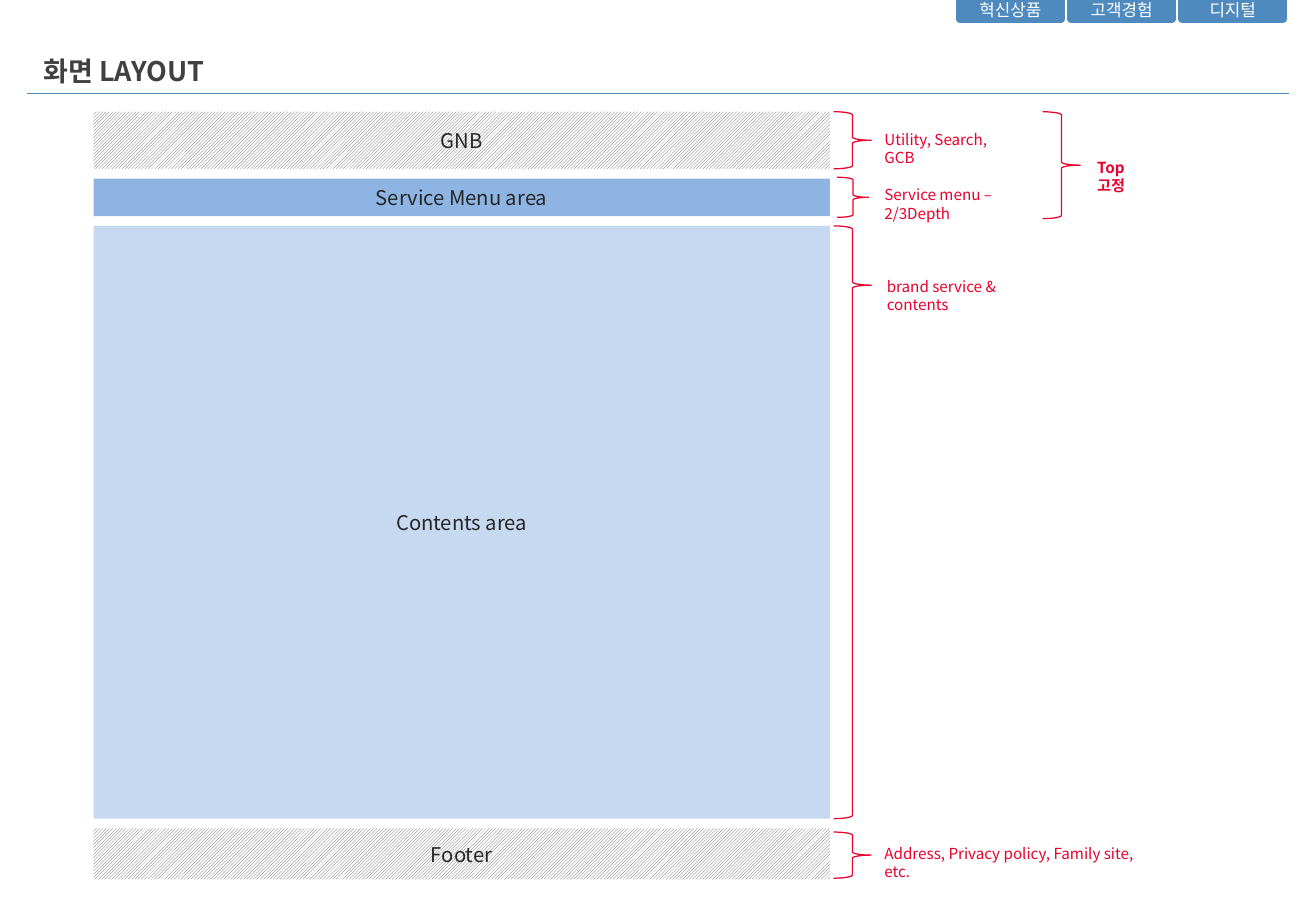
from dataclasses import dataclass
from typing import NamedTuple

from lxml import etree
from pptx import Presentation
from pptx.dml.color import RGBColor
from pptx.enum.dml import MSO_PATTERN
from pptx.enum.shapes import MSO_CONNECTOR, MSO_SHAPE
from pptx.enum.text import MSO_ANCHOR, MSO_AUTO_SIZE, PP_ALIGN
from pptx.oxml.ns import qn
from pptx.util import Inches, Pt

RECT, BRACE = MSO_SHAPE.RECTANGLE, MSO_SHAPE.RIGHT_BRACE
HATCH = MSO_PATTERN.LIGHT_UPWARD_DIAGONAL
LEFT, CENTER = PP_ALIGN.LEFT, PP_ALIGN.CENTER
MIDDLE, TOP = MSO_ANCHOR.MIDDLE, MSO_ANCHOR.TOP
GROW = MSO_AUTO_SIZE.SHAPE_TO_FIT_TEXT
TITLE_ONLY = 5


@dataclass(frozen=True)
class Theme:
    font: str = "Noto Sans CJK KR"
    accent: str = "4F8ABE"
    title: str = "404040"
    text: str = "262626"
    white: str = "FFFFFF"
    hatch: str = "595959"
    menu: str = "8EB4E3"
    contents: str = "C6D9F1"
    note: str = "EA002C"
    title_size: float = 16
    block_size: float = 12
    tab_size: float = 10
    note_size: float = 9


class Box(NamedTuple):
    x: float
    y: float
    w: float
    h: float

    def emu(self):
        return [Inches(v) for v in self]


class Row(NamedTuple):
    """A page block; brace and note places are relative to the block's top right."""
    label: str
    height: float
    fill: str
    brace: Box
    tip: float
    note: str
    note_box: Box


T = Theme()
SLIDE = Box(0, 0, 10.83, 7.5)
HEADER = Box(0.22, 0.4, 10.39, 0.37)
TABS = Box(7.9, 0, 2.66, 0.16)
PAGE = Box(0.77, 0.92, 6.06, 6.32)
ROW_GAP = 0.08
ROWS = [
    Row("GNB", 0.47, "", Box(0.03, 0, 0.31, 0.47), 0.5,
        "Utility, Search, GCB", Box(0.35, 0.1, 1.23, 0.25)),
    Row("Service Menu area", 0.31, T.menu, Box(0.06, -0.01, 0.26, 0.33), 0.5,
        "Service menu – 2/3Depth", Box(0.35, 0.01, 1.56, 0.25)),
    Row("Contents area", 4.88, T.contents, Box(0.03, 0, 0.31, 4.88), 0.1,
        "brand service & contents", Box(0.37, 0.37, 1.54, 0.25)),
    Row("Footer", 0.42, "", Box(0.03, 0.03, 0.31, 0.38), 0.5,
        "Address, Privacy policy, Family site, etc.", Box(0.35, 0.08, 2.29, 0.25)),
]


def rgb(color):
    return RGBColor.from_string(color)


def write(sp, text, size, color, align=CENTER, anchor=MIDDLE, bold=False, wrap=True):
    tf = sp.text_frame
    tf.word_wrap, tf.vertical_anchor = wrap, anchor
    p = tf.paragraphs[0]
    p.text, p.alignment = text, align
    p.font.name, p.font.size, p.font.bold = T.font, Pt(size), bold
    p.font.color.rgb = rgb(color)
    # Korean glyphs take the East Asian typeface
    latin = p._p.pPr.find(qn("a:defRPr")).find(qn("a:latin"))
    ea = etree.Element(qn("a:ea"), typeface=T.font)
    latin.addnext(ea)
    return tf


def add_block(s, box, fill):
    """Rectangle with a solid fill, or hatched when no fill is given."""
    sp = s.shapes.add_shape(RECT, *box.emu())
    sp.shadow.inherit = False
    sp.line.fill.background()
    if fill:
        sp.fill.solid()
        sp.fill.fore_color.rgb = rgb(fill)
    else:
        sp.fill.patterned()
        sp.fill.pattern = HATCH
        sp.fill.fore_color.rgb = rgb(T.hatch)
        sp.fill.back_color.rgb = rgb(T.white)
    return sp


def add_brace(s, box, tip=0.5):
    sp = s.shapes.add_shape(BRACE, *box.emu())
    sp.shadow.inherit = False
    sp.fill.background()
    sp.line.color.rgb, sp.line.width = rgb(T.note), Pt(0.75)
    sp.adjustments[1] = tip


def add_note(s, box, text, bold=False):
    sp = s.shapes.add_textbox(*box.emu())
    write(sp, text, T.note_size, T.note, LEFT, TOP, bold).auto_size = GROW


def add_tabs(s, box, labels):
    width = 0.83
    pitch = (box.w - width) / (len(labels) - 1)
    for i, label in enumerate(labels):
        sp = add_block(s, Box(box.x + i * pitch, box.y, width, box.h), T.accent)
        sp.line.color.rgb, sp.line.width = rgb(T.accent), Pt(4.5)
        tf = write(sp, label, T.tab_size, T.white, wrap=False)
        tf.margin_left = tf.margin_right = tf.margin_top = tf.margin_bottom = 0


def add_header(s, box, text):
    """Title with a rule along the bottom of the box."""
    bottom = Inches(box.y + box.h)
    rule = s.shapes.add_connector(MSO_CONNECTOR.STRAIGHT, Inches(box.x), bottom,
                                  Inches(box.x + box.w), bottom)
    rule.line.color.rgb, rule.line.width = rgb(T.accent), Pt(1)
    etree.SubElement(rule._element.spPr, qn("a:effectLst"))
    title = s.shapes.title
    title.left, title.top, title.width, title.height = box._replace(x=box.x + 0.04).emu()
    write(title, text, T.title_size, T.title, LEFT, bold=True)


def add_page_layout(s, box, rows):
    """Stacked page blocks, each with a brace and a note on its right."""
    right, top = box.x + box.w, box.y
    for row in rows:
        sp = add_block(s, Box(box.x, top, box.w, row.height), row.fill)
        write(sp, row.label, T.block_size, T.text)
        brace, note = (b._replace(x=right + b.x, y=top + b.y)
                       for b in (row.brace, row.note_box))
        add_brace(s, brace, row.tip)
        add_note(s, note, row.note)
        top += row.height + ROW_GAP
    # The first two blocks stay fixed at the top
    add_brace(s, Box(right + 1.75, box.y, 0.31, 0.88))
    add_note(s, Box(right + 2.1, box.y + 0.33, 0.66, 0.25), "Top 고정", bold=True)


def main():
    prs = Presentation()
    prs.slide_width, prs.slide_height = Inches(SLIDE.w), Inches(SLIDE.h)
    s = prs.slides.add_slide(prs.slide_layouts[TITLE_ONLY])
    add_tabs(s, TABS, ["혁신상품", "고객경험", "디지털"])
    add_header(s, HEADER, "화면 LAYOUT")
    add_page_layout(s, PAGE, ROWS)
    prs.save("out.pptx")


if __name__ == "__main__":
    main()
